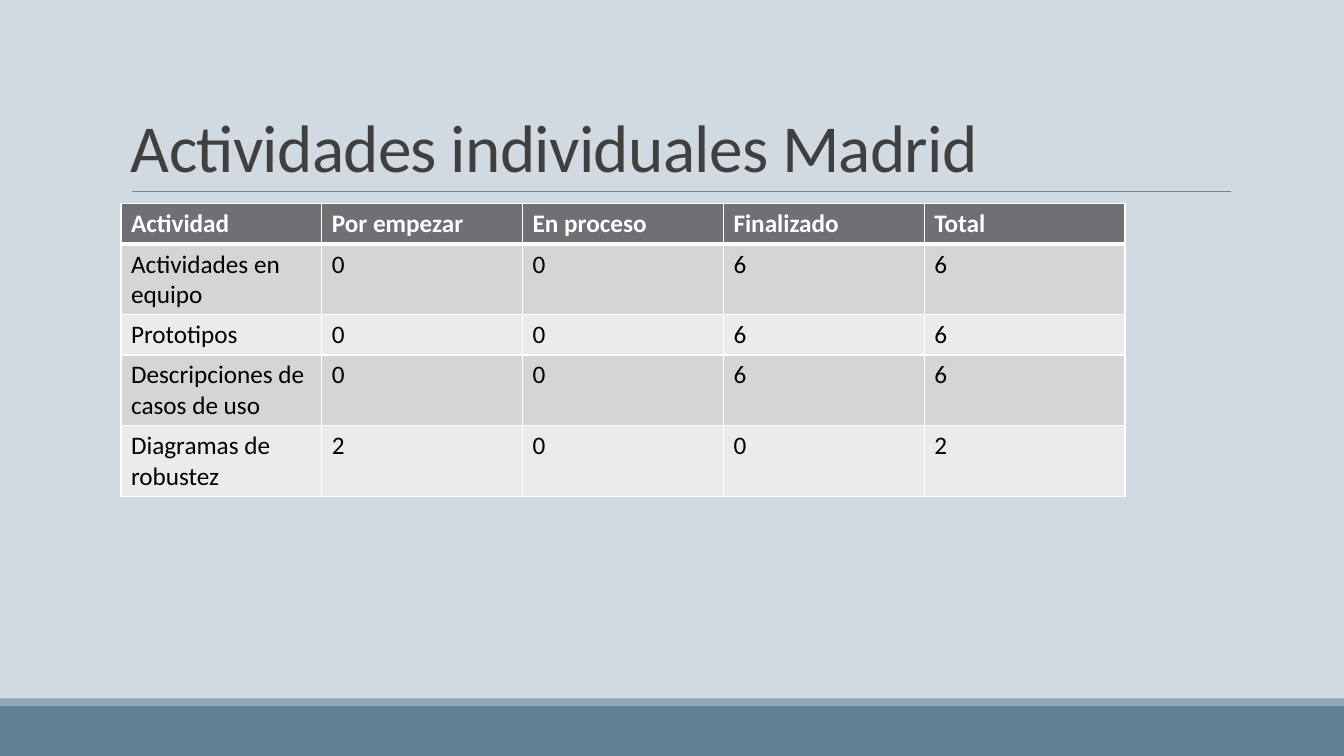
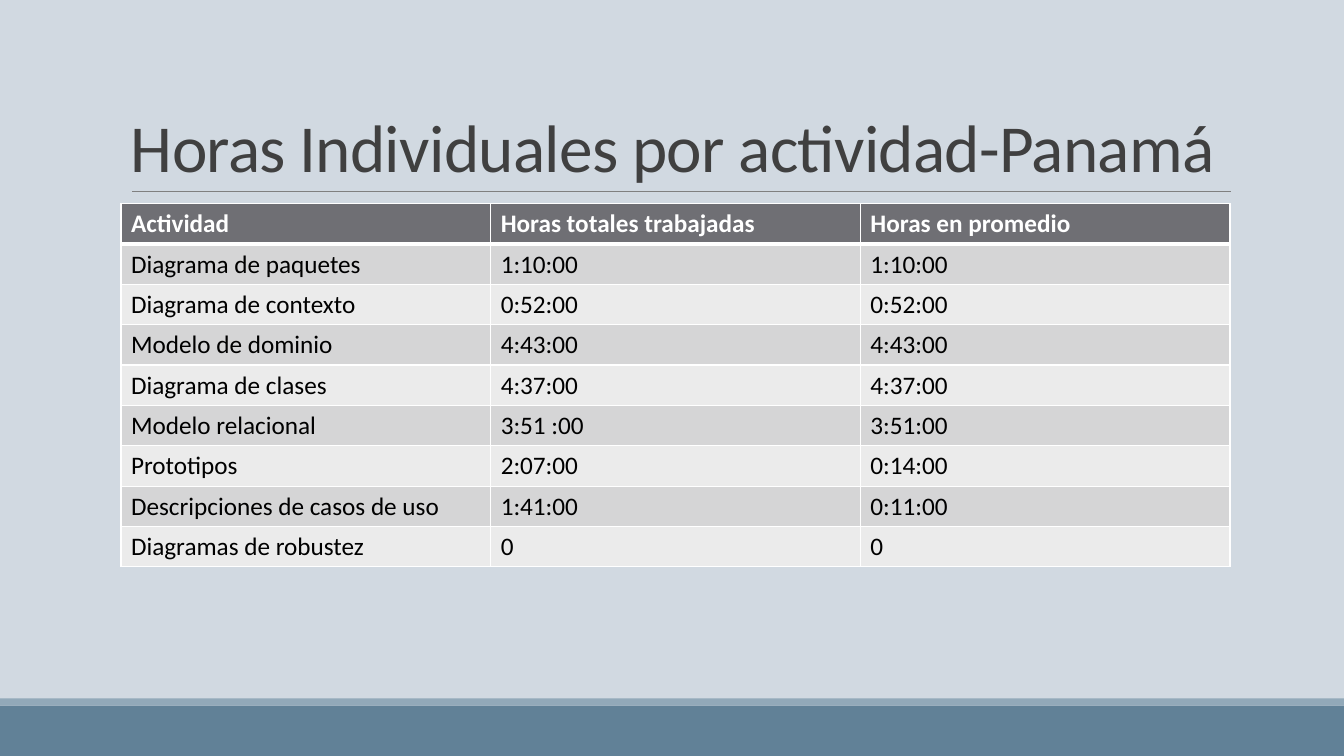
from lxml.etree import SubElement
from pptx import Presentation
from pptx.dml.color import RGBColor
from pptx.enum.shapes import MSO_CONNECTOR, MSO_SHAPE
from pptx.enum.text import MSO_ANCHOR
from pptx.oxml.ns import qn
from pptx.util import Inches, Pt

BACK = RGBColor(0xD1, 0xD9, 0xE1)
BAND = RGBColor(0x61, 0x81, 0x97)
STRIP = RGBColor(0x92, 0xA9, 0xB9)
RULE = RGBColor(0x80, 0x80, 0x80)
TITLE = RGBColor(0x40, 0x40, 0x40)
HEAD = RGBColor(0x6F, 0x6F, 0x74)
ODD = RGBColor(0xD5, 0xD5, 0xD6)
EVEN = RGBColor(0xEB, 0xEB, 0xEB)
WHITE = RGBColor(0xFF, 0xFF, 0xFF)
BLACK = RGBColor(0, 0, 0)

WIDTH, HEIGHT = 13.33, 7.5
LEFT = 1.2


class Deck:
    face = "Calibri"
    title_font = {"size": Pt(48), "bold": False}
    head_font = {"size": Pt(18), "bold": True}
    body_font = {"size": Pt(18), "bold": False}

    def __init__(self):
        self.prs = Presentation()
        self.prs.slide_width = Inches(WIDTH)
        self.prs.slide_height = Inches(HEIGHT)
        fill = self.prs.slide_master.background.fill
        fill.solid()
        fill.fore_color.rgb = BACK
        self.slide = None

    def start(self, title):
        self.slide = self.prs.slides.add_slide(self.prs.slide_layouts[6])
        self.band(7, 0.5, BAND)
        self.band(6.93, 0.07, STRIP)
        self.rule(1.31, 12.21, 1.9)
        self.title(title)

    def style(self, run, values, color):
        for name, value in values.items():
            setattr(run.font, name, value)
        run.font.name = self.face
        run.font.color.rgb = color

    def band(self, top, height, color):
        shape = self.slide.shapes.add_shape(
            MSO_SHAPE.RECTANGLE, 0, Inches(top), Inches(WIDTH), Inches(height))
        shape.shadow.inherit = False
        shape.fill.solid()
        shape.fill.fore_color.rgb = color
        shape.line.fill.background()

    def rule(self, left, right, top):
        line = self.slide.shapes.add_connector(
            MSO_CONNECTOR.STRAIGHT, Inches(left), Inches(top), Inches(right), Inches(top))
        line.line.color.rgb = RULE
        line.line.width = Pt(0.5)
        SubElement(line._element.spPr, qn("a:effectLst"))

    def title(self, text):
        box = self.slide.shapes.add_textbox(
            Inches(LEFT), Inches(0.31), Inches(11), Inches(1.59))
        frame = box.text_frame
        frame.word_wrap = True
        frame.vertical_anchor = MSO_ANCHOR.BOTTOM
        para = frame.paragraphs[0]
        para.line_spacing = 0.85
        run = para.add_run()
        run.text = text
        self.style(run, self.title_font, TITLE)
        run.font._element.set("spc", "-50")

    def border(self, cell, row):
        props = cell._tc.get_or_add_tcPr()
        widths = {"L": 1, "R": 1, "T": 3 if row == 1 else 1, "B": 3 if row == 0 else 1}
        for side, width in widths.items():
            line = SubElement(props, qn(f"a:ln{side}"), w=str(Pt(width)))
            fill = SubElement(line, qn("a:solidFill"))
            SubElement(fill, qn("a:srgbClr"), val=str(WHITE))

    def cell(self, cell, row, text):
        self.border(cell, row)
        cell.fill.solid()
        cell.fill.fore_color.rgb = HEAD if row == 0 else ODD if row % 2 else EVEN
        run = cell.text_frame.paragraphs[0].add_run()
        run.text = text
        if row == 0:
            self.style(run, self.head_font, WHITE)
        else:
            self.style(run, self.body_font, BLACK)

    def table(self, width, rows):
        count = len(rows[0])
        table = self.slide.shapes.add_table(
            len(rows), count, Inches(LEFT), Inches(2.02),
            Inches(width), Inches(0.4 * len(rows))).table
        table.horz_banding = False
        for col in table.columns:
            col.width = Inches(width / count)
        for i, row in enumerate(rows):
            for j, text in enumerate(row):
                self.cell(table.cell(i, j), i, text)


def main():
    deck = Deck()
    deck.start("Actividades individuales Madrid")
    deck.table(9.96, [
        ("Actividad", "Por empezar", "En proceso", "Finalizado", "Total"),
        ("Actividades en equipo", "0", "0", "6", "6"),
        ("Prototipos", "0", "0", "6", "6"),
        ("Descripciones de casos de uso", "0", "0", "6", "6"),
        ("Diagramas de robustez", "2", "0", "0", "2"),
    ])
    deck.start("Horas Individuales por actividad-Panamá")
    deck.table(11, [
        ("Actividad", "Horas totales trabajadas", "Horas en promedio"),
        ("Diagrama de paquetes", "1:10:00", "1:10:00"),
        ("Diagrama de contexto", "0:52:00", "0:52:00"),
        ("Modelo de dominio", "4:43:00", "4:43:00"),
        ("Diagrama de clases", "4:37:00", "4:37:00"),
        ("Modelo relacional", "3:51 :00", "3:51:00"),
        ("Prototipos", "2:07:00", "0:14:00"),
        ("Descripciones de casos de uso", "1:41:00", "0:11:00"),
        ("Diagramas de robustez", "0", "0"),
    ])
    deck.prs.save("out.pptx")


if __name__ == "__main__":
    main()
